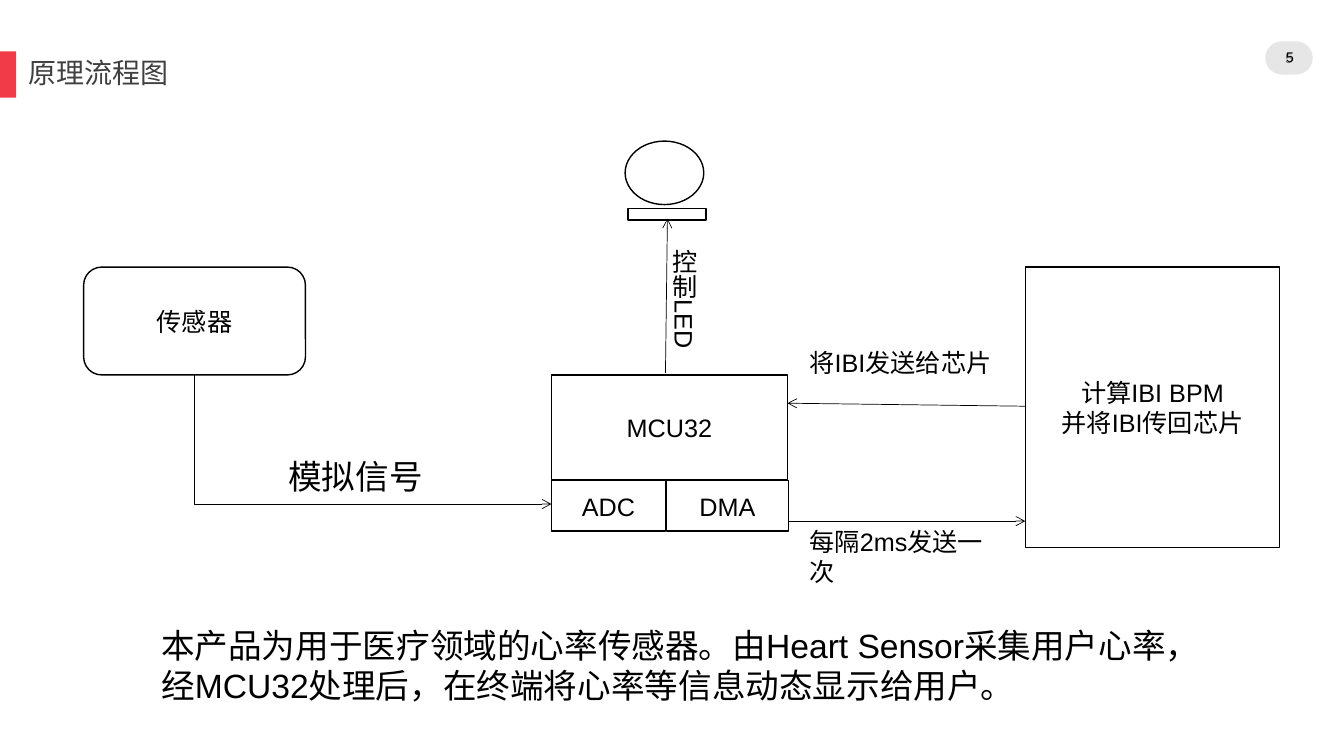
from dataclasses import dataclass

from lxml import etree
from pptx import Presentation
from pptx.dml.color import RGBColor
from pptx.enum import shapes, text
from pptx.oxml import ns
from pptx.util import Inches, Pt

BLACK = RGBColor(0x00, 0x00, 0x00)
WHITE = RGBColor(0xFF, 0xFF, 0xFF)
RED = RGBColor(0xF2, 0x3B, 0x48)
PALE_GREY = RGBColor(0xE7, 0xE6, 0xE6)
MID_GREY = RGBColor(0x80, 0x80, 0x80)
DARK_GREY = RGBColor(0x40, 0x40, 0x40)
FONT = "Arial"
Preset = shapes.MSO_SHAPE
Anchor = text.MSO_ANCHOR
Align = text.PP_ALIGN
Area = tuple[float, float, float, float]
Point = tuple[float, float]


@dataclass
class Node:
    area: Area
    preset: Preset = Preset.RECTANGLE
    lines: tuple[str, ...] = ()
    fill: RGBColor = WHITE
    outlined: bool = True
    corner: float | None = None


@dataclass
class Label:
    area: Area
    words: str
    size: float = 18
    color: RGBColor = BLACK
    align: Align = Align.LEFT
    anchor: Anchor = Anchor.TOP
    padded: bool = True
    vertical: bool = False


@dataclass
class Arrow:
    start: Point
    end: Point


NODES = [
    Node((0, 0.51, 0.16, 0.46), Preset.ROUNDED_RECTANGLE, fill=RED, outlined=False, corner=0),
    Node((12.55, 0.41, 0.47, 0.33), Preset.ROUNDED_RECTANGLE, fill=PALE_GREY,
         outlined=False, corner=0.5),
    Node((0.83, 2.65, 2.2, 1.07), Preset.ROUNDED_RECTANGLE, ("传感器",)),
    Node((10.17, 2.65, 2.52, 2.78), lines=("计算IBI BPM", "并将IBI传回芯片")),
    Node((6.2, 1.4, 0.78, 0.63), Preset.OVAL),
    Node((6.09, 1.88, 1.05, 0.49), Preset.MATH_MINUS),
    Node((5.47, 3.72, 2.34, 1.04), lines=("MCU32",)),
    Node((5.47, 4.77, 1.13, 0.5), lines=("ADC",)),
    Node((6.61, 4.77, 1.21, 0.5), lines=("DMA",)),
]
ARROWS = [
    Arrow((7.83, 5.17), (10.17, 5.17)),
    Arrow((10.17, 4.03), (7.81, 4)),
    Arrow((6.6, 3.7), (6.62, 2.17)),
]
SENSOR_TO_ADC = Arrow((1.93, 3.71), (5.47, 5))
LABELS = [
    Label((12.55, 0.36, 0.47, 0.43), "5", 10, MID_GREY, Align.CENTER, Anchor.MIDDLE, False),
    Label((12.56, 0.48, 0.47, 0.21), "5", 10, align=Align.CENTER, padded=False),
    Label((7.93, 5.17, 2.13, 0.4), "每隔2ms发送一次"),
    Label((7.93, 3.4, 2.19, 0.4), "将IBI发送给芯片"),
    Label((6.49, 2.37, 0.5, 1.32), "控制LED", vertical=True),
    Label((2.76, 4.47, 2.39, 0.81), "模拟信号", 24),
    Label((1.5, 6.15, 10.82, 0.91),
          "本产品为用于医疗领域的心率传感器。由Heart Sensor采集用户心率，"
          "经MCU32处理后，在终端将心率等信息动态显示给用户。", 24),
]


def place(area: Area) -> list[int]:
    return [Inches(length) for length in area]


def add_span(para, words: str, size: float, color: RGBColor) -> None:
    span = para.add_run()
    span.text = words
    span.font.name = FONT
    span.font.size = Pt(size)
    span.font.color.rgb = color


def clear_margins(frame) -> None:
    frame.margin_left = frame.margin_right = frame.margin_top = frame.margin_bottom = 0


def add_title(page, words: str) -> None:
    title = page.shapes.title
    title.left, title.top, title.width, title.height = place((0.28, 0.51, 4.17, 0.46))
    frame = title.text_frame
    clear_margins(frame)
    frame.auto_size = text.MSO_AUTO_SIZE.NONE
    frame.vertical_anchor = Anchor.MIDDLE
    para = frame.paragraphs[0]
    para.alignment = Align.LEFT
    para.line_spacing = 0.9
    para.space_before = Pt(10)
    add_span(para, words, 20, DARK_GREY)


def add_node(page, node: Node) -> None:
    box = page.shapes.add_shape(node.preset, *place(node.area))
    box.shadow.inherit = False
    box.fill.solid()
    box.fill.fore_color.rgb = node.fill
    if node.outlined:
        box.line.color.rgb = BLACK
        box.line.width = Pt(1)
    else:
        box.line.fill.background()
    if node.corner is not None:
        box.adjustments[0] = node.corner
    frame = box.text_frame
    frame.vertical_anchor = Anchor.MIDDLE
    for index, words in enumerate(node.lines):
        para = frame.add_paragraph() if index else frame.paragraphs[0]
        para.alignment = Align.CENTER
        add_span(para, words, 18, BLACK)


def add_label(page, label: Label) -> None:
    box = page.shapes.add_textbox(*place(label.area))
    frame = box.text_frame
    frame.word_wrap = True
    frame.vertical_anchor = label.anchor
    if not label.padded:
        clear_margins(frame)
    if label.vertical:
        frame._txBody.bodyPr.set("vert", "eaVert")
    para = frame.paragraphs[0]
    para.alignment = label.align
    add_span(para, label.words, label.size, label.color)


def add_arrow(page, arrow: Arrow, kind=shapes.MSO_CONNECTOR.STRAIGHT):
    connector = page.shapes.add_connector(kind, *place(arrow.start + arrow.end))
    connector.line.color.rgb = BLACK
    connector.line.width = Pt(0.5)
    etree.SubElement(connector.line._get_or_add_ln(), ns.qn("a:tailEnd"), type="arrow")
    etree.SubElement(connector._element.spPr, ns.qn("a:effectLst"))
    return connector


def add_corner_arrow(page, arrow: Arrow) -> None:
    """Draw an arrow that runs down, then right: a one-bend connector turned by 90 degrees."""
    (left, top), (right, bottom) = arrow.start, arrow.end
    middle_x, middle_y = (left + right) / 2, (top + bottom) / 2
    half_width, half_height = (bottom - top) / 2, (right - left) / 2
    unturned = Arrow((middle_x - half_width, middle_y + half_height),
                     (middle_x + half_width, middle_y - half_height))
    connector = add_arrow(page, unturned, shapes.MSO_CONNECTOR.ELBOW)
    properties = connector._element.spPr
    properties.find(ns.qn("a:xfrm")).set("rot", str(90 * 60000))
    properties.find(ns.qn("a:prstGeom")).set("prst", "bentConnector2")


def main() -> None:
    deck = Presentation()
    deck.slide_width, deck.slide_height = Inches(13.33), Inches(7.5)
    page = deck.slides.add_slide(deck.slide_layouts.get_by_name("Title Only"))
    add_title(page, "原理流程图")
    for node in NODES:
        add_node(page, node)
    for arrow in ARROWS:
        add_arrow(page, arrow)
    add_corner_arrow(page, SENSOR_TO_ADC)
    for label in LABELS:
        add_label(page, label)
    deck.save("out.pptx")


if __name__ == "__main__":
    main()
